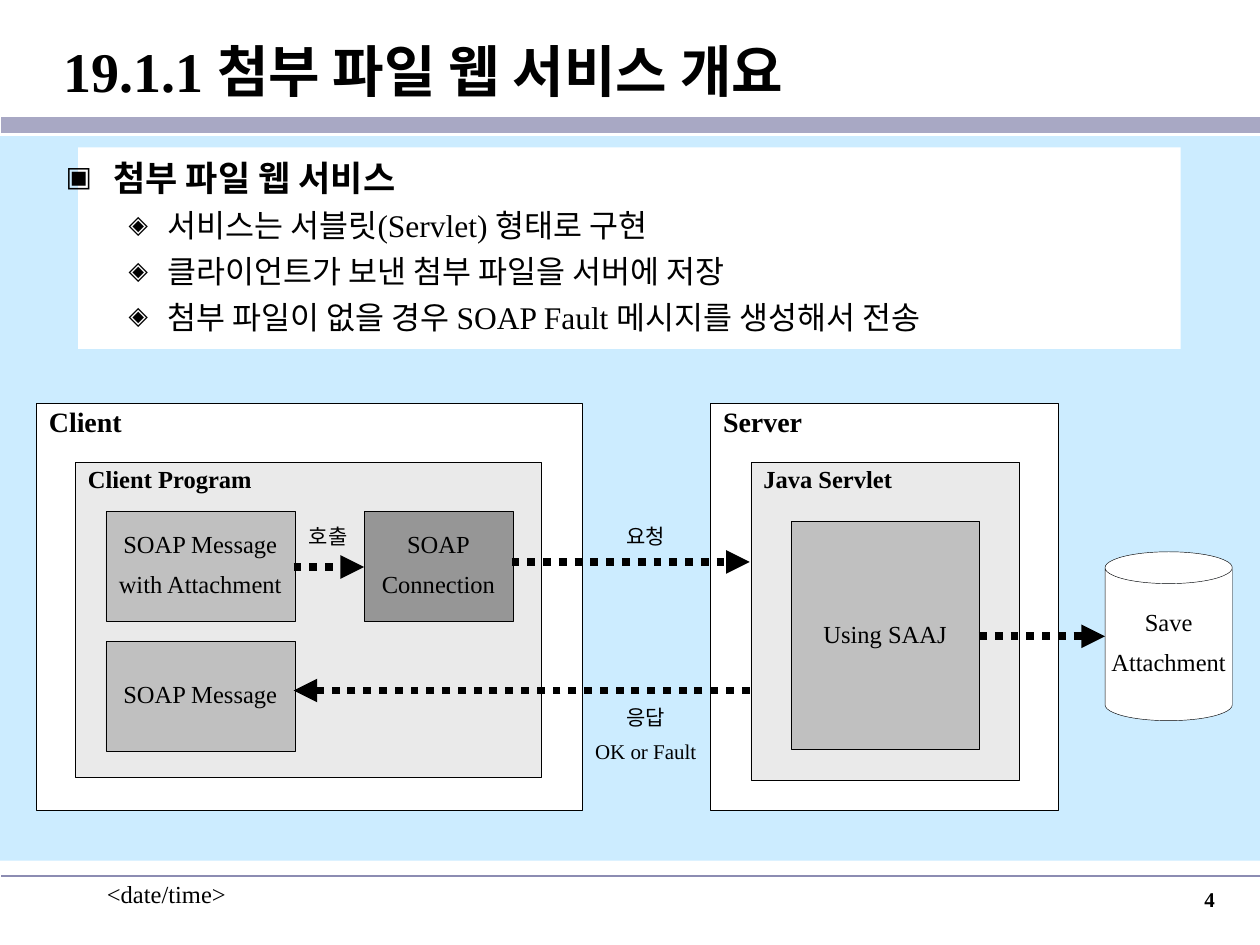
from lxml import etree
from pptx import Presentation
from pptx import util as u
from pptx.dml import color
from pptx.enum import dml, shapes, text
from pptx.oxml import ns

FONT = "Times New Roman"
BLACK, WHITE = "000000", "FFFFFF"
SKY, LAVENDER, RULE = "CCECFF", "A8A8C4", "8C8CB2"
PALE, SILVER, GRAY = "EAEAEA", "C0C0C0", "969696"
LEFT, CENTER, RIGHT = text.PP_ALIGN.LEFT, text.PP_ALIGN.CENTER, text.PP_ALIGN.RIGHT
TOP, MIDDLE = text.MSO_ANCHOR.TOP, text.MSO_ANCHOR.MIDDLE


def rgb(value):
    return color.RGBColor.from_string(value)


def within(box, left, top, width, height):
    return box[0] + left, box[1] + top, width, height


def inches(values):
    return [u.Inches(value) for value in values]


def write_text(shape, lines, size=14, bold=False, align=LEFT, anchor=TOP,
               wrap=True, spacing=1.0, before=0):
    frame = shape.text_frame
    frame.word_wrap = wrap
    frame.auto_size = text.MSO_AUTO_SIZE.NONE
    frame.vertical_anchor = anchor
    for index, line in enumerate(lines):
        paragraph = frame.paragraphs[0] if index == 0 else frame.add_paragraph()
        paragraph.alignment = align
        paragraph.line_spacing = spacing
        paragraph.space_before = u.Pt(before)
        run = paragraph.add_run()
        run.text = line
        run.font.name = FONT
        run.font.size = u.Pt(size)
        run.font.bold = bold
        run.font.color.rgb = rgb(BLACK)
    return frame


def add_box(slide, box, fill, outlined=True, kind=shapes.MSO_SHAPE.RECTANGLE):
    shape = slide.shapes.add_shape(kind, *inches(box))
    shape.shadow.inherit = False
    shape.fill.solid()
    shape.fill.fore_color.rgb = rgb(fill)
    if outlined:
        shape.line.color.rgb = rgb(BLACK)
        shape.line.width = u.Pt(0.25)
    else:
        shape.line.fill.background()
    return shape


def add_node(slide, box, lines, fill, **options):
    shape = add_box(slide, box, fill, **options)
    write_text(shape, lines, align=CENTER, anchor=MIDDLE, wrap=False,
               spacing=0.85, before=8.8)


def add_panel(slide, box, name, fill, size):
    shape = add_box(slide, box, fill)
    write_text(shape, [name], size=size, bold=True, spacing=0.85, before=size * 0.625)


def add_label(slide, box, lines, **options):
    return write_text(slide.shapes.add_textbox(*inches(box)), lines, **options)


def add_line(slide, start, end, line_color, width):
    connector = slide.shapes.add_connector(
        shapes.MSO_CONNECTOR.STRAIGHT, *inches((*start, *end)))
    connector.line.color.rgb = rgb(line_color)
    connector.line.width = u.Pt(width)
    etree.SubElement(connector.element.spPr, ns.qn("a:effectLst"))
    return connector


def add_arrow(slide, start, end):
    line = add_line(slide, start, end, BLACK, 4.5).line
    line.dash_style = dml.MSO_LINE.ROUND_DOT
    etree.SubElement(line._get_or_add_ln(), ns.qn("a:tailEnd"), type="triangle")


def add_bullet(paragraph, symbol, margin, hanging):
    properties = paragraph._p.get_or_add_pPr()
    properties.set("marL", str(u.Inches(margin)))
    properties.set("indent", str(-u.Inches(hanging)))
    bullet_color = etree.SubElement(properties, ns.qn("a:buClr"))
    etree.SubElement(bullet_color, ns.qn("a:srgbClr"), val=BLACK)
    etree.SubElement(properties, ns.qn("a:buSzPct"), val="80000")
    etree.SubElement(properties, ns.qn("a:buFont"), typeface=FONT)
    etree.SubElement(properties, ns.qn("a:buChar"), char=symbol)


def move_to_front(shape, box):
    shape.left, shape.top, shape.width, shape.height = inches(box)
    shape.element.getparent().append(shape.element)


def draw_backdrop(slide, box):
    left, top, width, height = box
    right = left + width
    add_line(slide, (left + 0.01, top + 0.99), (right, top + 0.99), LAVENDER, 9.25)
    add_line(slide, (left + 0.01, top + 6.95), (right, top + 6.95), RULE, 1)
    add_box(slide, within(box, 0, 1.08, width, 5.75), SKY, outlined=False)
    add_box(slide, within(box, 0.62, 1.17, 8.75, 1.6), WHITE, outlined=False)


def fill_title(slide, box):
    title = slide.shapes.title
    move_to_front(title, box)
    frame = write_text(title, ["19.1.1 첨부 파일 웹 서비스 개요"],
                       size=32, bold=True, anchor=MIDDLE)
    frame.margin_left = u.Inches(0.49)


def fill_body(slide, box):
    body = slide.placeholders[1]
    move_to_front(body, box)
    frame = write_text(body, [
        "첨부 파일 웹 서비스",
        "서비스는 서블릿(Servlet) 형태로 구현",
        "클라이언트가 보낸 첨부 파일을 서버에 저장",
        "첨부 파일이 없을 경우 SOAP Fault 메시지를 생성해서 전송",
    ], size=18, before=4.5)
    heading, *items = frame.paragraphs
    heading.space_before = u.Pt(5)
    heading.runs[0].font.size = u.Pt(20)
    heading.runs[0].font.bold = True
    add_bullet(heading, "▣", 0.38, 0.38)
    for item in items:
        item.level = 1
        add_bullet(item, "◈", 0.81, 0.31)


def draw_client(slide, box):
    add_panel(slide, box, "Client", WHITE, 16)
    add_panel(slide, within(box, 0.31, 0.47, 3.7, 2.5), "Client Program", PALE, 14)
    add_node(slide, within(box, 0.55, 0.86, 1.5, 0.87),
             ["SOAP Message", "with Attachment"], SILVER)
    add_node(slide, within(box, 0.55, 1.89, 1.5, 0.87), ["SOAP Message"], SILVER)
    add_node(slide, within(box, 2.6, 0.86, 1.18, 0.87), ["SOAP", "Connection"], GRAY)


def draw_server(slide, box):
    add_panel(slide, box, "Server", WHITE, 16)
    add_panel(slide, within(box, 0.32, 0.47, 2.13, 2.52), "Java Servlet", PALE, 14)
    add_node(slide, within(box, 0.64, 0.94, 1.49, 1.81), ["Using SAAJ"], SILVER)


def draw_messages(slide, box):
    left, top, width, height = box
    right = left + width
    add_arrow(slide, (left, top + 0.36), (left + 0.56, top + 0.36))
    add_arrow(slide, (left + 1.73, top + 0.32), (right, top + 0.32))
    add_arrow(slide, (right, top + 1.34), (left, top + 1.34))
    add_arrow(slide, (left + 5.44, top + 0.91), (left + 6.44, top + 0.91))
    labels = [
        ((0.01, 0, 0.53, 0.27), ["호출"]),
        ((2.53, 0, 0.53, 0.27), ["요청"]),
        ((2.29, 1.43, 1.01, 0.55), ["응답", "OK or Fault"]),
    ]
    for place, lines in labels:
        add_label(slide, within(box, *place), lines, size=12, align=CENTER,
                  wrap=False, spacing=0.85, before=7.5)


def draw_footer(slide, box):
    add_label(slide, within(box, 0, 0, 2.08, 0.5), ["<date/time>"])
    add_label(slide, within(box, 6.91, 0.06, 2.08, 0.5), ["4"],
              size=12, bold=True, align=RIGHT)


def main():
    presentation = Presentation()
    presentation.slide_width, presentation.slide_height = inches((10, 7.5))
    slide = presentation.slides.add_slide(presentation.slide_layouts[1])
    draw_backdrop(slide, (0, 0, 10, 7.5))
    fill_title(slide, (0.01, 0.11, 9.99, 0.9))
    fill_body(slide, (0.42, 1.19, 9.16, 1.58))
    draw_client(slide, (0.29, 3.2, 4.33, 3.23))
    draw_server(slide, (5.64, 3.2, 2.76, 3.23))
    add_node(slide, (8.77, 4.38, 1.01, 1.34), ["Save", "Attachment"], WHITE,
             kind=shapes.MSO_SHAPE.CAN)
    draw_messages(slide, (2.33, 4.14, 3.62, 1.98))
    draw_footer(slide, (0.75, 6.93, 8.99, 0.56))
    presentation.save("out.pptx")


if __name__ == "__main__":
    main()
